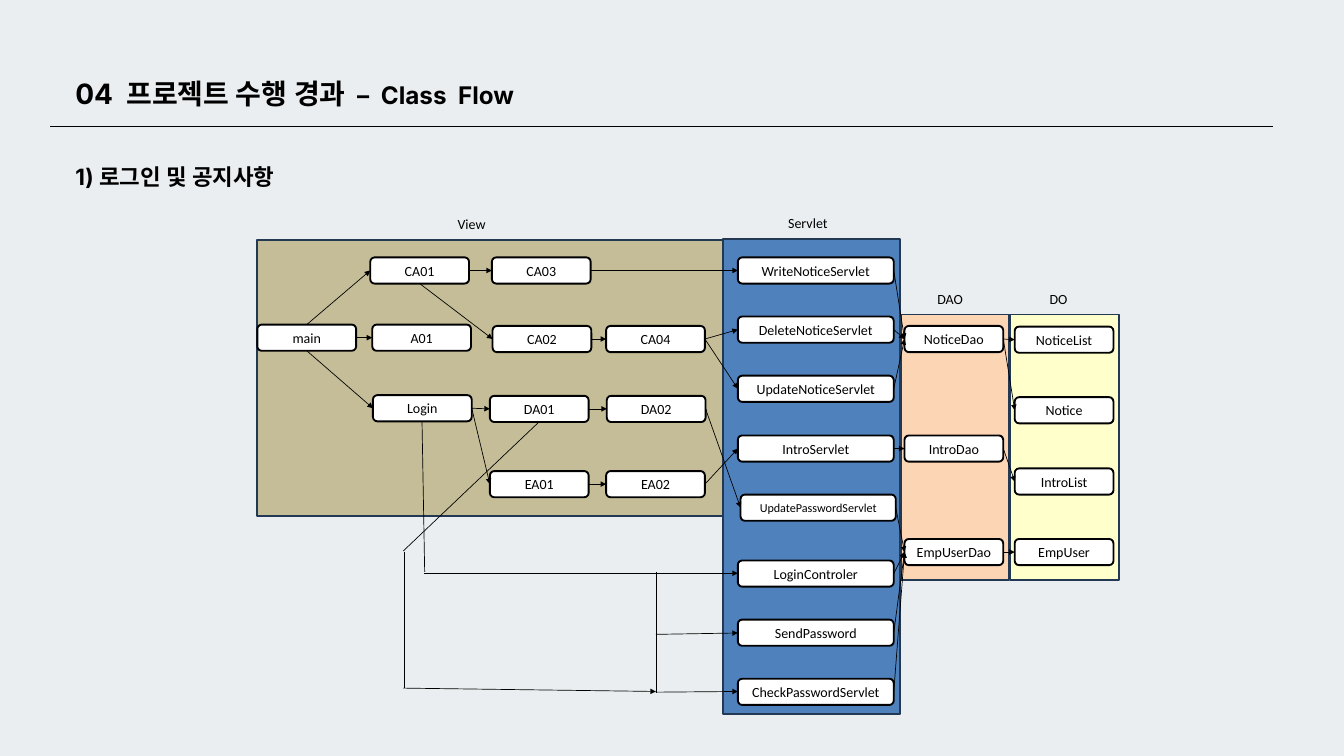
import dataclasses

import lxml.etree
import pptx
import pptx.dml.color
import pptx.enum.shapes
import pptx.enum.text
import pptx.oxml.ns
import pptx.util

SHAPES = pptx.enum.shapes.MSO_SHAPE
ANCHOR = pptx.enum.text.MSO_ANCHOR
ALIGN = pptx.enum.text.PP_ALIGN
GROW = pptx.enum.text.MSO_AUTO_SIZE.SHAPE_TO_FIT_TEXT
EMU_PER_PX = 9144
TOP, LEFT, BOTTOM, RIGHT = range(4)


@dataclasses.dataclass(frozen=True)
class Theme:
    background: str = "EBEEF0"
    ink: str = "000000"
    panel_line: str = "233953"
    node: str = "FFFFFF"
    view: str = "C4BD97"
    servlet: str = "4F81BD"
    dao: str = "FCD5B5"
    data_object: str = "FFFFCC"
    heading_font: str = "Inter"
    body_font: str = "Calibri"
    title_size: int = 30
    subtitle_size: int = 26
    section_size: int = 24
    body_size: int = 15
    small_size: int = 13
    heading_spacing: int = 42
    outline: float = 2
    thin: float = 0.75


def px(value):
    return pptx.util.Emu(value * EMU_PER_PX)


def rgb(value):
    return pptx.dml.color.RGBColor.from_string(value)


def apply(target, values):
    for name, value in values.items():
        setattr(target, name, value)


def add_element(parent, tag, **attributes):
    return lxml.etree.SubElement(parent, pptx.oxml.ns.qn(tag), attributes)


class FlowSlide:
    def __init__(self, presentation, theme):
        self.theme = theme
        self.slide = presentation.slides.add_slide(presentation.slide_layouts[6])
        fill = self.slide.background.fill
        fill.solid()
        fill.fore_color.rgb = rgb(theme.background)

    def run(self, paragraph, text, size, font_name, bold=False):
        run = paragraph.add_run()
        run.text = text
        run.font.color.rgb = rgb(self.theme.ink)
        apply(run.font, {"size": pptx.util.Pt(size), "name": font_name, "bold": bold})
        add_element(run.font._element, "a:ea", typeface=font_name)

    def heading(self, box, parts):
        frame = self.slide.shapes.add_textbox(*map(px, box)).text_frame
        margins = dict.fromkeys(("margin_left", "margin_top", "margin_right", "margin_bottom"), 0)
        apply(frame, {"word_wrap": True, "auto_size": GROW, **margins})
        paragraph = frame.paragraphs[0]
        paragraph.line_spacing = pptx.util.Pt(self.theme.heading_spacing)
        for text, size in parts:
            self.run(paragraph, text, size, self.theme.heading_font, True)

    def label(self, text, left, top, width):
        box = self.slide.shapes.add_textbox(*map(px, (left, top, width, 35)))
        apply(box.text_frame, {"word_wrap": True, "auto_size": GROW})
        self.run(box.text_frame.paragraphs[0], text, self.theme.body_size, self.theme.body_font)

    def block(self, kind, box, fill, line):
        shape = self.slide.shapes.add_shape(kind, *map(px, box))
        shape.shadow.inherit = False
        shape.fill.solid()
        shape.fill.fore_color.rgb = rgb(fill)
        shape.line.color.rgb = rgb(line)
        shape.line.width = pptx.util.Pt(self.theme.outline)
        return shape

    def panel(self, box, fill):
        self.block(SHAPES.RECTANGLE, box, fill, self.theme.panel_line)

    def node(self, text, left, top, width, size):
        box = (left, top, width, 39)
        shape = self.block(SHAPES.ROUNDED_RECTANGLE, box, self.theme.node, self.theme.ink)
        apply(shape.text_frame, {"word_wrap": True, "auto_size": GROW,
                                 "vertical_anchor": ANCHOR.MIDDLE})
        paragraph = shape.text_frame.paragraphs[0]
        paragraph.alignment = ALIGN.CENTER
        self.run(paragraph, text, size, self.theme.body_font)
        return shape

    def line(self, start, end, arrow=False):
        connector = self.slide.shapes.add_connector(
            pptx.enum.shapes.MSO_CONNECTOR.STRAIGHT, *map(px, (*start, *end)))
        connector.line.color.rgb = rgb(self.theme.ink)
        connector.line.width = pptx.util.Pt(self.theme.thin)
        if arrow:
            add_element(connector.line._get_or_add_ln(), "a:tailEnd", type="triangle")
        add_element(connector._element.spPr, "a:effectLst")
        return connector

    def link(self, source, target, side=RIGHT):
        connector = self.line((0, 0), (1, 1), True)
        connector.begin_connect(source, side)
        connector.end_connect(target, LEFT)


NODES = {
    "main": (383, 483), "A01": (554, 483), "CA01": (551, 383), "CA03": (732, 383),
    "CA02": (733, 485), "CA04": (902, 485), "Login": (555, 588),
    "DA01": (729, 589), "DA02": (903, 589), "EA01": (729, 701), "EA02": (902, 701),
    "NoticeDao": (1346, 485), "IntroDao": (1346, 648), "EmpUserDao": (1346, 802),
    "NoticeList": (1510, 486), "Notice": (1510, 591),
    "IntroList": (1510, 697), "EmpUser": (1510, 802),
}
SERVLETS = {
    "WriteNoticeServlet": 383, "DeleteNoticeServlet": 471, "UpdateNoticeServlet": 559,
    "IntroServlet": 648, "LoginControler": 834, "SendPassword": 922,
    "CheckPasswordServlet": 1010,
}
LINKS = {
    "main": ["A01"], "CA01": ["CA03"], "CA03": ["WriteNoticeServlet"], "CA02": ["CA04"],
    "CA04": ["DeleteNoticeServlet", "UpdateNoticeServlet"],
    "Login": ["DA01", "EA01"], "DA01": ["DA02"], "EA01": ["EA02"],
    "DA02": ["UpdatePasswordServlet"], "EA02": ["IntroServlet"],
    "WriteNoticeServlet": ["NoticeDao"], "DeleteNoticeServlet": ["NoticeDao"],
    "UpdateNoticeServlet": ["NoticeDao"], "IntroServlet": ["IntroDao"],
    "UpdatePasswordServlet": ["EmpUserDao"], "LoginControler": ["EmpUserDao"],
    "SendPassword": ["EmpUserDao"], "CheckPasswordServlet": ["EmpUserDao"],
    "NoticeDao": ["NoticeList", "Notice"], "IntroDao": ["IntroList"],
    "EmpUserDao": ["EmpUser"],
}
BRANCHES = [("main", TOP, "CA01"), ("main", BOTTOM, "Login"), ("CA01", BOTTOM, "CA02")]
PLAIN_LINES = [
    ((628, 627), (632, 851)), ((976, 851), (976, 1031)),
    ((802, 628), (600, 820)), ((601, 821), (601, 1024)),
]
ARROWS = [
    ((631, 853), (1098, 853)), ((976, 944), (1098, 942)),
    ((976, 1030), (1098, 1029)), ((600, 1024), (976, 1029)),
]
LABELS = [("View", 671, 316, 75), ("Servlet", 1163, 315, 187),
          ("DAO", 1385, 427, 94), ("DO", 1552, 427, 94)]


def main():
    theme = Theme()
    presentation = pptx.Presentation()
    apply(presentation, {"slide_width": px(2000), "slide_height": px(1125)})
    flow = FlowSlide(presentation, theme)

    flow.heading((112, 105, 929, 113), [("04  프로젝트 수행 경과", theme.title_size),
                                        ("  –  Class  Flow", theme.subtitle_size)])
    flow.line((75, 188), (1894, 188))
    flow.heading((112, 224, 929, 52), [("1) 로그인 및 공지사항", theme.section_size)])

    flow.panel((383, 357, 693, 411), theme.view)
    flow.panel((1341, 468, 160, 395), theme.dao)
    flow.panel((1503, 468, 162, 395), theme.data_object)
    flow.panel((1076, 356, 264, 707), theme.servlet)

    nodes = {name: flow.node(name, left, top, 147, theme.body_size)
             for name, (left, top) in NODES.items()}
    for name, top in SERVLETS.items():
        nodes[name] = flow.node(name, 1098, top, 232, theme.body_size)
    name = "UpdatePasswordServlet"
    nodes[name] = flow.node(name, 1102, 736, 231, theme.small_size)

    for source, targets in LINKS.items():
        for target in targets:
            flow.link(nodes[source], nodes[target])
    for source, side, target in BRANCHES:
        flow.link(nodes[source], nodes[target], side)
    for start, end in PLAIN_LINES:
        flow.line(start, end)
    for start, end in ARROWS:
        flow.line(start, end, True)
    for label in LABELS:
        flow.label(*label)

    presentation.save("out.pptx")


if __name__ == "__main__":
    main()
